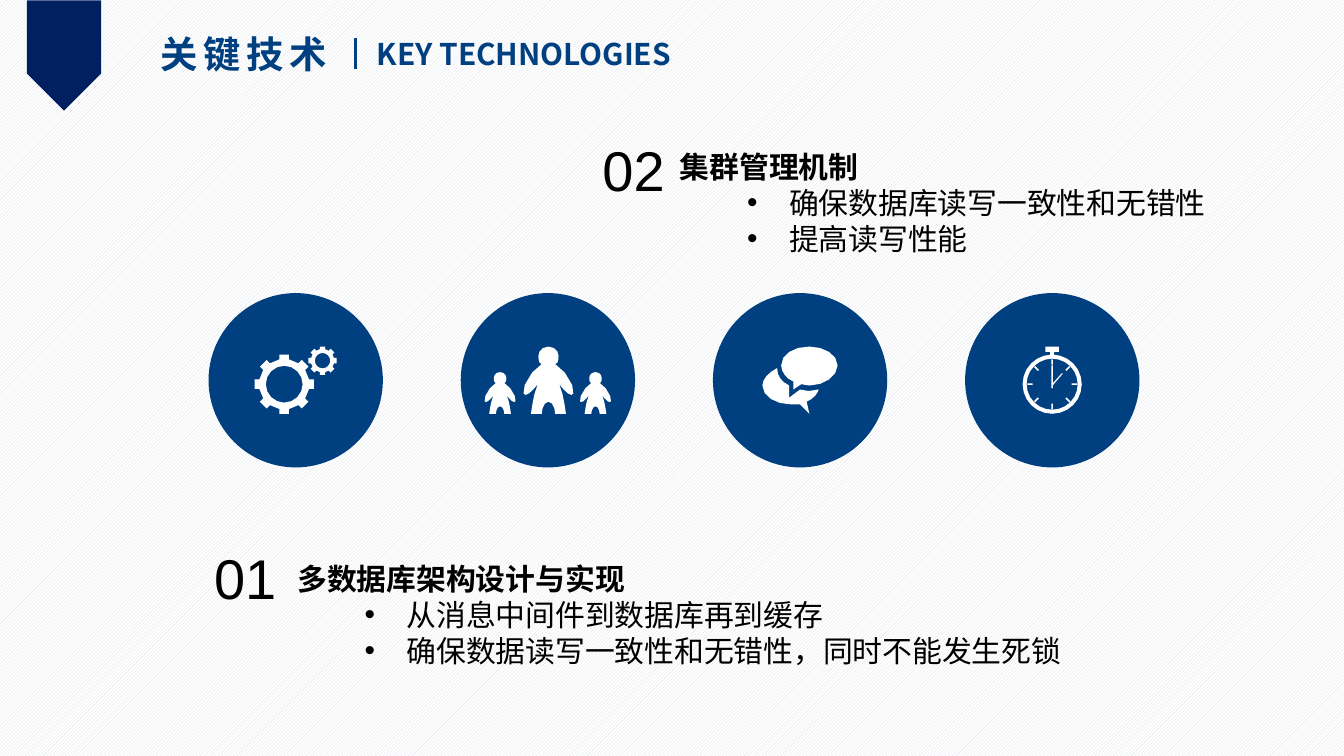
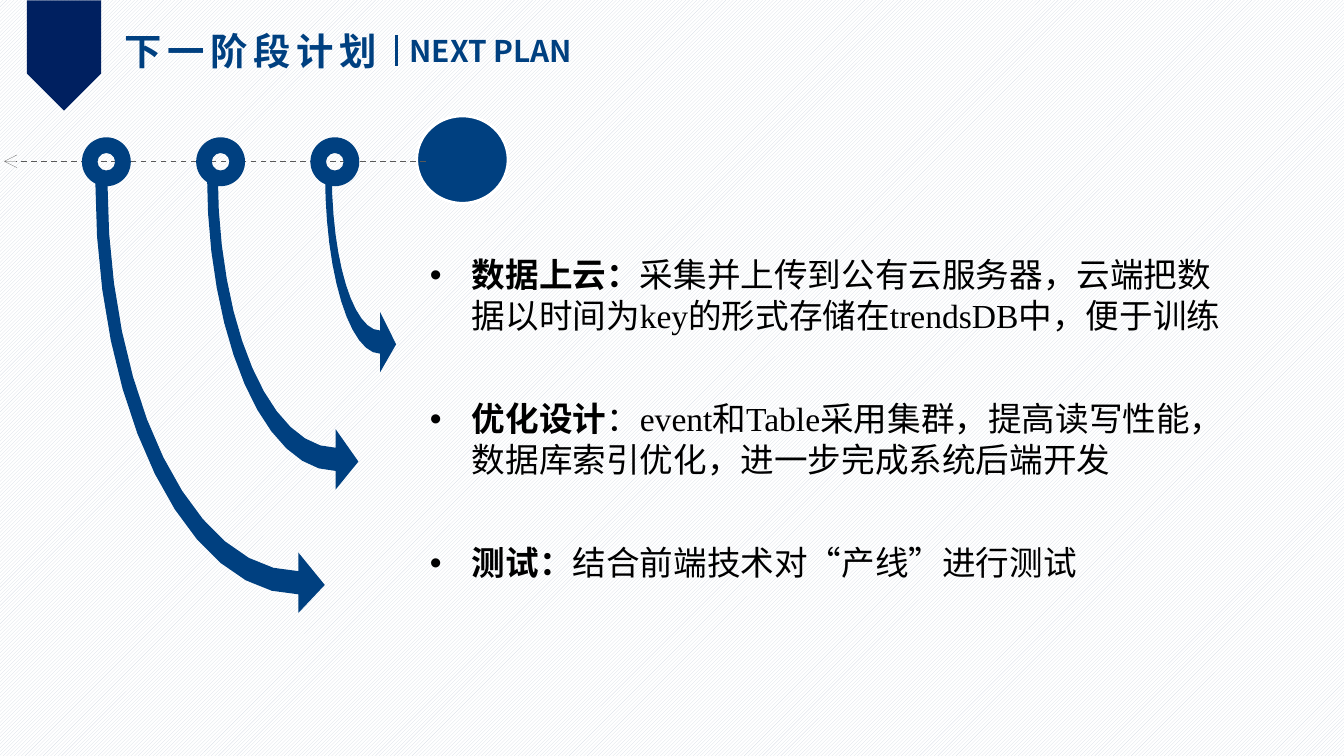
from math import cos, sin, pi, radians

from lxml.etree import SubElement
from pptx import Presentation
from pptx.dml.color import RGBColor
from pptx.enum.dml import MSO_LINE, MSO_PATTERN
from pptx.enum.shapes import MSO_CONNECTOR, MSO_SHAPE
from pptx.enum.text import MSO_AUTO_SIZE
from pptx.oxml.ns import qn
from pptx.util import Pt

# ---- Content: lengths in points ----
BLUE, NAVY, WHITE, BLACK = "004080", "002060", "FFFFFF", "000000"
SANS = "Noto Sans CJK SC"

# heading, its box; English heading, its box; divider x and top
TITLES = [
    ("关键技术", (78.8, 13, 106.6, 31.7), "KEY TECHNOLOGIES", (194.8, 15.5, 177.1, 26.6), (190.5, 20.5)),
    ("下一阶段计划", (59.8, 11.5, 152.6, 31.7), "NEXT PLAN", (212.4, 14, 108.7, 26.6), (212.4, 18.7)),
]
DIVIDER_HEIGHT = 16.5

# number, its box; heading, its line spacing; points; box
TOPICS = [
    ("01", (107.6, 287.6, 48.2, 43.9), "多数据库架构设计与实现", 1.5,
     ["从消息中间件到数据库再到缓存", "确保数据读写一致性和无错性，同时不能发生死锁"],
     (152.3, 287.3, 424.8, 74.9)),
    ("02", (315.7, 69.1, 48.2, 43.9), "集群管理机制", 1,
     ["确保数据库读写一致性和无错性", "提高读写性能"],
     (357.1, 76.3, 296.6, 65.5)),
]

# bold lead, following text
PLAN_STEPS = [
    ("数据上云：", "采集并上传到公有云服务器，云端把数据以时间为key的形式存储在trendsDB中，便于训练"),
    ("优化设计", "：event和Table采用集群，提高读写性能，数据库索引优化，进一步完成系统后端开发"),
    ("测试：", "结合前端技术对“产线”进行测试"),
]
PLAN_BOX = (223.2, 132.7, 448.6, 184.3)

# left, stem width, top, neck x, shaft top, tip x
SWOOPS = [
    (174.2, 3.6, 93.6, 203.6, 177.1, 212.2),
    (110.9, 5.8, 93.6, 179.8, 239.9, 192),
    (51.1, 6.5, 97.9, 159.8, 306, 174),
]
SHAFT, HEAD_OVERHANG, TIP_DROP = 12.4, 10, 7.4

# Icon outlines: units around the icon centre; a step of three points is a curve
ICON_UNIT = 0.72
PERSON_HALF = [
    [(0, 0)], [(5, 0), (7.5, 4), (7.5, 7)], [(7.5, 10), (7, 13), (5, 13)],
    [(12, 16), (21, 32), (18.5, 35)], [(17, 36)], [(15, 36), (11, 32), (8, 28)],
    [(11, 35), (12, 43), (13, 50)], [(5, 50)], [(5, 46), (3, 41), (0, 41)],
]
BACK_BUBBLE = [
    [(0, 7)], [(-8, 13)], [(-8, 4)],
    [(-14, 1), (-17, -3), (-17, -9)], [(-23, -6), (-28, -1), (-28, 4)],
    [(-28, 12), (-18, 18), (-7, 18)], [(0, 18)], [(7, 25)],
    [(5, 16)], [(10, 14), (13, 10), (14, 7)], [(12, 7), (9, 8), (6, 8)],
    [(0, 7)],
]
FRONT_BUBBLE = [
    [(7, -25)], [(-5, -25), (-14, -19), (-14, -11)], [(-14, -6), (-10, -1), (-5, 1)],
    [(-5, 7)], [(1, 3)], [(7, 4)],
    [(18, 4), (28, -3), (28, -11)], [(28, -19), (18, -25), (7, -25)],
]


# ---- Outline geometry ----
def trace(steps, samples=4):
    """Turn line and cubic steps into a list of points."""
    points = list(steps[0])
    for step in steps[1:]:
        if len(step) == 1:
            points += step
            continue
        corners = [points[-1], *step]
        for index in range(1, samples + 1):
            t = index / samples
            weights = ((1 - t) ** 3, 3 * t * (1 - t) ** 2, 3 * t * t * (1 - t), t ** 3)
            points.append(tuple(sum(w * c[axis] for w, c in zip(weights, corners)) for axis in (0, 1)))
    return points


def arc(x, y, radius_x, radius_y, start=0, end=360, samples=12):
    angles = [radians(start + (end - start) * i / samples) for i in range(samples + 1)]
    return [(x + radius_x * cos(a), y + radius_y * sin(a)) for a in angles]


def ring(x, y, radius, samples):
    return arc(x, y, radius, radius, samples=samples)[:-1]


def turn(points, angle, x=0, y=0):
    c, s = cos(angle), sin(angle)
    return [(x + px * c - py * s, y + px * s + py * c) for px, py in points]


def bar(left, top, right, bottom):
    return [(left, top), (right, top), (right, bottom), (left, bottom)]


def gear(x, y, tip, body, hole, tooth):
    outline = []
    for index in range(8):
        corners = [(body, -tooth), (tip, -tooth), (tip, tooth), (body, tooth)]
        outline += turn(corners, index * pi / 4, x, y)
    return [outline, ring(x, y, hole, 16)]


def person(x, scale):
    half = trace(PERSON_HALF, 3)
    outline = half + [(-px, py) for px, py in half[-2:0:-1]]
    return [(x + px * scale, 25 + (py - 50) * scale) for px, py in outline]


def stopwatch():
    ticks = [turn(bar(14.5, -0.6, 18.5, 0.6), i * pi / 4, 0, 3) for i in range(8)]
    hands = [bar(-0.6, -11, 0.6, 6), [(0.8, 2), (7, -5), (8, -5), (0.8, 3.5)]]
    crown = [bar(-5, -25, 5, -21), bar(-1.5, -21, 1.5, -19)]
    return [ring(0, 3, 22, 24), ring(0, 3, 19, 24), *ticks, *hands, *crown]


ICONS = [
    gear(-8.5, 3, 22, 18.5, 13.7, 3.5) + gear(20, -14.5, 10.5, 8.5, 5.7, 2),
    [person(-35.5, 0.62), person(0.5, 1), person(35.5, 0.62)],
    [trace(BACK_BUBBLE), trace(FRONT_BUBBLE)],
    stopwatch(),
]
CIRCLE_LEFT, CIRCLE_TOP, CIRCLE_SIZE, CIRCLE_STEP = 111.7, 157, 93.4, 135.1


# ---- Drawing helpers ----
def colour(value):
    return RGBColor.from_string(value)


def box_lengths(box):
    return [Pt(length) for length in box]


def paint(shape, fill, line=None, width=1.5):
    shape.shadow.inherit = False
    shape.fill.solid()
    shape.fill.fore_color.rgb = colour(fill)
    if line:
        shape.line.color.rgb = colour(line)
        shape.line.width = Pt(width)
    else:
        shape.line.fill.background()
    return shape


def add_preset(shapes, kind, box, fill, line=None):
    return paint(shapes.add_shape(kind, *box_lengths(box)), fill, line)


def add_outline(shapes, contours, fill, x=0, y=0, unit=1):
    builder = None
    for contour in contours:
        start, *rest = [(Pt(x + px * unit), Pt(y + py * unit)) for px, py in contour]
        if builder is None:
            builder = shapes.build_freeform(*start, scale=1.0)
        else:
            builder.move_to(*start)
        builder.add_line_segments(rest, close=True)
    return paint(builder.convert_to_shape(), fill)


def add_line(slide, start, end, line, width):
    connector = slide.shapes.add_connector(MSO_CONNECTOR.STRAIGHT, *box_lengths(start + end))
    connector.line.color.rgb = colour(line)
    connector.line.width = Pt(width)
    SubElement(connector._element.spPr, qn("a:effectLst"))
    return connector


def add_textbox(slide, box, wrap=False):
    frame = slide.shapes.add_textbox(*box_lengths(box)).text_frame
    for name, value in {"word_wrap": wrap, "auto_size": MSO_AUTO_SIZE.SHAPE_TO_FIT_TEXT}.items():
        setattr(frame, name, value)
    return frame


def add_run(paragraph, text, text_colour=BLACK, spacing=None, **formats):
    run = paragraph.add_run()
    run.text = text
    for name, value in formats.items():
        setattr(run.font, name, value)
    run.font.color.rgb = colour(text_colour)
    properties = run._r.get_or_add_rPr()
    SubElement(properties, qn("a:ea")).set("typeface", SANS)
    if spacing:
        properties.set("spc", str(spacing * 100))


def add_bullet(paragraph, margin, indent):
    properties = paragraph._p.get_or_add_pPr()
    properties.set("marL", str(Pt(margin)))
    properties.set("indent", str(Pt(-indent)))
    SubElement(properties, qn("a:buFont")).set("typeface", "Arial")
    SubElement(properties, qn("a:buChar")).set("char", "•")


# ---- Shared slide frame ----
def add_framed_slide(presentation, title):
    heading, heading_box, english, english_box, divider = title
    slide = presentation.slides.add_slide(presentation.slide_layouts[6])
    fill = slide.background.fill
    fill.patterned()
    fill.pattern = MSO_PATTERN.LIGHT_UPWARD_DIAGONAL
    fill.fore_color.rgb, fill.back_color.rgb = colour("D6DCE5"), colour(WHITE)

    ribbon = add_preset(slide.shapes, MSO_SHAPE.PENTAGON, (4.7, 9.9, 59.1, 39.7), NAVY)
    ribbon.rotation = 90
    for text, box, size, spacing in ((heading, heading_box, 20, 3), (english, english_box, 16, None)):
        add_run(add_textbox(slide, box).paragraphs[0], text, BLUE, spacing,
                name=SANS, size=Pt(size), bold=True)
    x, top = divider
    add_line(slide, (x, top), (x, top + DIVIDER_HEIGHT), BLUE, 1.5)
    return slide


def build_technologies(presentation):
    slide = add_framed_slide(presentation, TITLES[0])

    # Row of circles with icons
    for index, icon in enumerate(ICONS):
        left = CIRCLE_LEFT + index * CIRCLE_STEP
        shapes = slide.shapes.add_group_shape().shapes
        add_preset(shapes, MSO_SHAPE.OVAL, (left, CIRCLE_TOP, CIRCLE_SIZE, CIRCLE_SIZE), BLUE)
        add_outline(shapes, icon, WHITE, left + CIRCLE_SIZE / 2, CIRCLE_TOP + CIRCLE_SIZE / 2, ICON_UNIT)

    # Numbered topics
    for number, number_box, heading, line_spacing, points, box in TOPICS:
        frame = add_textbox(slide, box)
        paragraph = frame.paragraphs[0]
        paragraph.line_spacing = line_spacing
        add_run(paragraph, heading, name=SANS, size=Pt(16), bold=True)
        for point in points:
            paragraph = frame.add_paragraph()
            paragraph.level = 1
            add_bullet(paragraph, 58.5, 22.5)
            add_run(paragraph, point, name=SANS, size=Pt(16), bold=False)
        add_run(add_textbox(slide, number_box).paragraphs[0], number, name="Arial", size=Pt(30))


def build_plan(presentation):
    slide = add_framed_slide(presentation, TITLES[1])

    # Curved arrows: two quarter ellipses and a head
    for left, stem, top, neck, shaft_top, tip in SWOOPS:
        shaft_bottom = shaft_top + SHAFT
        outer = arc(neck, top, neck - left, shaft_bottom - top, 90, 180)
        inner = arc(neck, top, neck - left - stem, shaft_top - top, 180, 90)
        head = [(neck, shaft_top - HEAD_OVERHANG), (tip, shaft_top + TIP_DROP),
                (neck, shaft_bottom + HEAD_OVERHANG)]
        add_outline(slide.shapes, [outer + inner + head], BLUE)

    # Timeline with a hairline arrow
    add_preset(slide.shapes, MSO_SHAPE.OVAL, (223.2, 62.1, 49, 46.8), BLUE, WHITE)
    timeline = add_line(slide, (228.2, 86.4), (2.2, 86.4), "595959", 0)
    timeline.line.dash_style = MSO_LINE.DASH
    line_properties = timeline.line._get_or_add_ln()
    line_properties.set("w", "0")
    SubElement(line_properties, qn("a:tailEnd")).set("type", "arrow")
    for index in range(3):
        stop = add_preset(slide.shapes, MSO_SHAPE.DONUT, (166.3 - 61.2 * index, 73.6, 26.2, 26.2), BLUE)
        stop.adjustments[0] = 0.32

    # Plan steps
    frame = add_textbox(slide, PLAN_BOX, wrap=True)
    for index, (lead, text) in enumerate(PLAN_STEPS):
        paragraph = frame.add_paragraph() if index else frame.paragraphs[0]
        paragraph.space_before = Pt(34 if index else 6)
        add_bullet(paragraph, 22.5, 22.5)
        for part, bold in ((lead, True), (text, False)):
            add_run(paragraph, part, name="Times New Roman", size=Pt(18), bold=bold)


def main():
    presentation = Presentation()
    presentation.slide_width, presentation.slide_height = Pt(720), Pt(405)
    build_technologies(presentation)
    build_plan(presentation)
    presentation.save("out.pptx")


if __name__ == "__main__":
    main()
